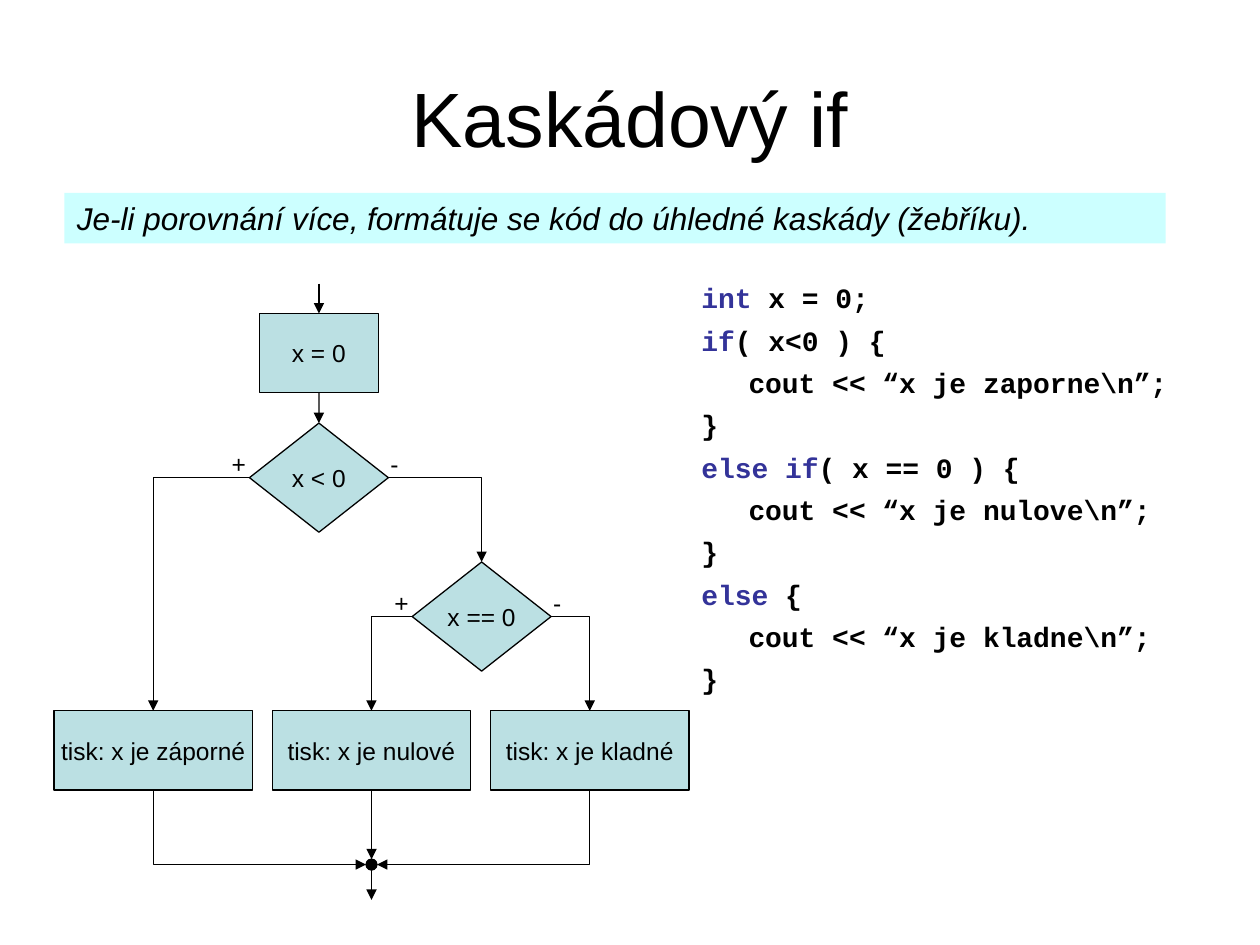
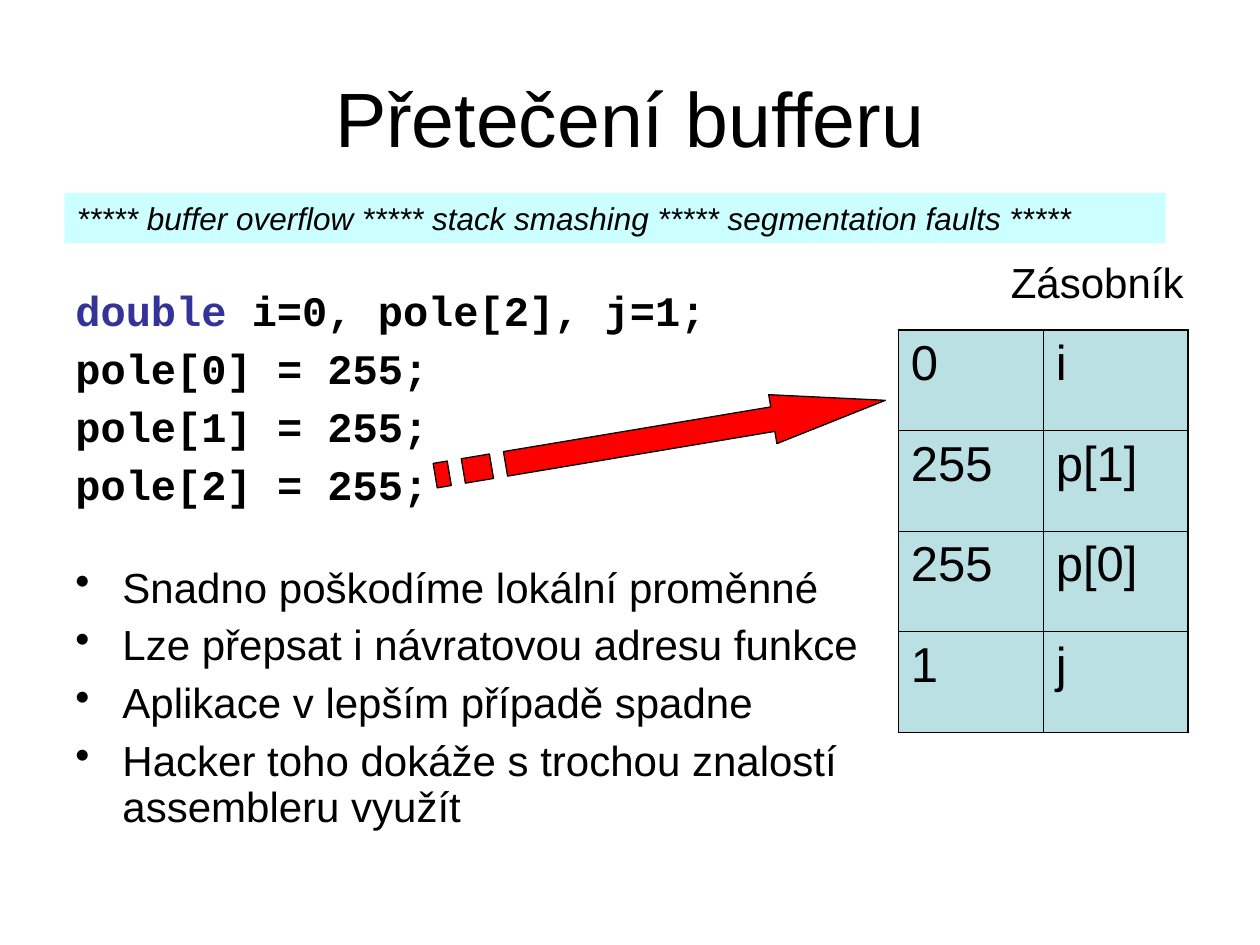
from lxml import etree
from pptx import Presentation
from pptx import util as u
from pptx.dml.color import RGBColor
from pptx.enum import shapes, text
from pptx.oxml import ns

colors = {"ink": "000000", "keyword": "333399", "band": "CCFFFF",
          "node": "BBE0E3", "arrow": "FF0000"}
SANS, MONO = "Arial", "Courier New"
LEFT, CENTER, RIGHT = text.PP_ALIGN.LEFT, text.PP_ALIGN.CENTER, text.PP_ALIGN.RIGHT
TOP, MIDDLE = text.MSO_ANCHOR.TOP, text.MSO_ANCHOR.MIDDLE
HANG = u.Cm(0.95)


def write(frame, lines, size, font=SANS, align=LEFT, anchor=TOP, wrap=True,
          italic=False, gap=0, spacing=None):
    frame.word_wrap = wrap
    frame.vertical_anchor = anchor
    for number, line in enumerate(lines):
        paragraph = frame.paragraphs[0] if number == 0 else frame.add_paragraph()
        paragraph.alignment = align
        paragraph.line_spacing = spacing
        paragraph.space_before = u.Pt(gap if number else 0)
        for words, color in line:
            run = paragraph.add_run()
            run.text = words
            run.font.name = font
            run.font.size = u.Pt(size)
            run.font.bold = font == MONO
            run.font.italic = italic
            run.font.color.rgb = RGBColor.from_string(colors[color])


def add_node(slide, kind, left, top, width, height, fill, line=True):
    shape = slide.shapes.add_shape(kind, u.Cm(left), u.Cm(top), u.Cm(width), u.Cm(height))
    shape.shadow.inherit = False
    shape.fill.solid()
    shape.fill.fore_color.rgb = RGBColor.from_string(colors[fill])
    if line:
        shape.line.color.rgb = RGBColor.from_string(colors["ink"])
        shape.line.width = u.Pt(0.75)
    else:
        shape.line.fill.background()
    return shape


presentation = Presentation()
presentation.slide_width = u.Cm(25.4)
presentation.slide_height = u.Cm(19.05)

slides = []
for title, motto in [
    ("Kaskádový if", "Je-li porovnání více, formátuje se kód do úhledné kaskády (žebříku)."),
    ("Přetečení bufferu",
     "***** buffer overflow ***** stack smashing ***** segmentation faults *****"),
]:
    slide = presentation.slides.add_slide(presentation.slide_layouts[6])
    heading = slide.shapes.add_textbox(u.Cm(1.27), u.Cm(0.76), u.Cm(22.86), u.Cm(3.18))
    write(heading.text_frame, [[(title, "ink")]], 44, align=CENTER, anchor=MIDDLE)
    band = add_node(slide, shapes.MSO_SHAPE.RECTANGLE, 1.3, 3.89, 22.2, 1.02, "band", line=False)
    write(band.text_frame, [[(motto, "ink")]], 18, italic=True)
    slides.append(slide)
cascade_slide, overflow_slide = slides

cascade_code = [
    [("int", "keyword"), (" x = 0;", "ink")],
    [("if", "keyword"), ("( x<0 ) {", "ink")],
    [("cout << “x je zaporne\\n”;", "ink")],
    [("}", "ink")],
    [("else if", "keyword"), ("( x == 0 ) {", "ink")],
    [("cout << “x je nulove\\n”;", "ink")],
    [("}", "ink")],
    [("else", "keyword"), (" {", "ink")],
    [("cout << “x je kladne\\n”;", "ink")],
    [("}", "ink")],
]
code_box = cascade_slide.shapes.add_textbox(u.Cm(13.89), u.Cm(5.54), u.Cm(10.24), u.Cm(11.48))
write(code_box.text_frame, cascade_code, 16, font=MONO, gap=5)
for paragraph in code_box.text_frame.paragraphs:
    if paragraph.text.startswith("cout"):
        paragraph._p.get_or_add_pPr().set("marL", str(HANG))

RECTANGLE, DIAMOND = shapes.MSO_SHAPE.RECTANGLE, shapes.MSO_SHAPE.DIAMOND
nodes = {}
for name, kind, left, top, width, height, label in [
    ("assign", RECTANGLE, 5.23, 6.32, 2.4, 1.6, "x = 0"),
    ("negative?", DIAMOND, 5.03, 8.53, 2.8, 2.2, "x < 0"),
    ("zero?", DIAMOND, 8.31, 11.33, 2.8, 2.2, "x == 0"),
    ("negative", RECTANGLE, 1.09, 14.33, 4, 1.6, "tisk: x je záporné"),
    ("zero", RECTANGLE, 5.49, 14.33, 4, 1.6, "tisk: x je nulové"),
    ("positive", RECTANGLE, 9.89, 14.33, 4, 1.6, "tisk: x je kladné"),
]:
    nodes[name] = add_node(cascade_slide, kind, left, top, width, height, "node")
    write(nodes[name].text_frame, [[(label, "ink")]], 14, align=CENTER, anchor=MIDDLE, wrap=False)
nodes["merge"] = add_node(cascade_slide, shapes.MSO_SHAPE.OVAL, 7.38, 17.32, 0.22, 0.22, "ink")

UP, WEST, DOWN, EAST = range(4)
for start, start_side, end, end_side, arrowhead in [
    (None, None, "assign", UP, "tailEnd"),
    ("assign", DOWN, "negative?", UP, "tailEnd"),
    ("negative?", WEST, "negative", UP, "tailEnd"),
    ("negative?", EAST, "zero?", UP, "tailEnd"),
    ("zero?", WEST, "zero", UP, "tailEnd"),
    ("zero?", EAST, "positive", UP, "tailEnd"),
    ("merge", WEST, "negative", DOWN, "headEnd"),
    ("merge", EAST, "positive", DOWN, "headEnd"),
    ("zero", DOWN, "merge", UP, "tailEnd"),
    ("merge", DOWN, None, None, "tailEnd"),
]:
    bent = start_side in (WEST, EAST)
    kind = shapes.MSO_CONNECTOR.ELBOW if bent else shapes.MSO_CONNECTOR.STRAIGHT
    connector = cascade_slide.shapes.add_connector(
        kind, u.Cm(6.43), u.Cm(5.72), u.Cm(7.49), u.Cm(18.14))
    if start:
        connector.begin_connect(nodes[start], start_side)
    if end:
        connector.end_connect(nodes[end], end_side)
    for tag, node, side in [("a:stCxn", start, start_side), ("a:endCxn", end, end_side)]:
        if node == "merge":
            site = next(connector._element.iter(ns.qn(tag)))
            site.set("idx", str(side * 2))
    properties = connector._element.spPr
    if bent:
        properties.find(ns.qn("a:prstGeom")).set("prst", "bentConnector2")
    connector.line.color.rgb = RGBColor.from_string(colors["ink"])
    connector.line.width = u.Pt(0.75)
    etree.SubElement(properties.find(ns.qn("a:ln")), ns.qn("a:" + arrowhead), type="triangle")
    etree.SubElement(properties, ns.qn("a:effectLst"))

for sign, left, top in [("+", 4.42, 8.92), ("-", 7.62, 8.92), ("+", 7.7, 11.73), ("-", 10.9, 11.73)]:
    branch = cascade_slide.shapes.add_textbox(u.Cm(left), u.Cm(top), u.Cm(0.75), u.Cm(0.86))
    write(branch.text_frame, [[(sign, "ink")]], 14, wrap=False)

overflow_code = [
    [("double", "keyword"), (" i=0, pole[2], j=1;", "ink")],
    *[[(f"pole[{index}] = 255;", "ink")] for index in range(3)],
]
code_box = overflow_slide.shapes.add_textbox(u.Cm(1.27), u.Cm(5.72), u.Cm(16.43), u.Cm(5))
write(code_box.text_frame, overflow_code, 24, font=MONO, gap=7.2, spacing=0.9)

risks = [
    "Snadno poškodíme lokální proměnné",
    "Lze přepsat i návratovou adresu funkce",
    "Aplikace v lepším případě spadne",
    "Hacker toho dokáže s trochou znalostí assembleru využít",
]
risk_box = overflow_slide.shapes.add_textbox(u.Cm(1.27), u.Cm(11.3), u.Cm(16.43), u.Cm(5.72))
write(risk_box.text_frame, [[(risk, "ink")] for risk in risks], 24, gap=7.2, spacing=0.9)
for paragraph in risk_box.text_frame.paragraphs:
    properties = paragraph._p.get_or_add_pPr()
    properties.set("marL", str(HANG))
    properties.set("indent", str(-HANG))
    etree.SubElement(properties, ns.qn("a:buChar"), char="•")

stack = [("0", "i"), ("255", "p[1]"), ("255", "p[0]"), ("1", "j")]
table = overflow_slide.shapes.add_table(
    4, 2, u.Cm(18.11), u.Cm(6.65), u.Cm(5.84), u.Cm(8.12)).table
for row, values in enumerate(stack):
    for column, value in enumerate(values):
        cell = table.cell(row, column)
        write(cell.text_frame, [[(value, "ink")]], 28)
        borders = cell._tc.get_or_add_tcPr()
        for side, outer in [("lnL", column == 0), ("lnR", column == 1),
                            ("lnT", row == 0), ("lnB", row == 3)]:
            width = u.Pt(1.08 if outer else 0.45)
            border = etree.SubElement(borders, ns.qn("a:" + side), w=str(width))
            paint = etree.SubElement(border, ns.qn("a:solidFill"))
            etree.SubElement(paint, ns.qn("a:srgbClr"), val=colors["ink"])
        cell.fill.solid()
        cell.fill.fore_color.rgb = RGBColor.from_string(colors["node"])

caption = overflow_slide.shapes.add_textbox(u.Cm(18.11), u.Cm(5.05), u.Cm(6), u.Cm(1.27))
write(caption.text_frame, [[("Zásobník", "ink")]], 24, align=RIGHT)

arrow_left, arrow_top, arrow_width, arrow_height = 8.71, 8.33, 9.2, 1
contours = [
    [(0, 1), (1, 1), (1, 3), (0, 3)],
    [(2, 1), (4, 1), (4, 3), (2, 3)],
    [(5, 1), (24, 1), (24, 0), (32, 2), (24, 4), (24, 3), (5, 3)],
]
builder = None
for contour in contours:
    points = [(u.Cm(arrow_left + arrow_width * x / 32), u.Cm(arrow_top + arrow_height * y / 4))
              for x, y in contour]
    if builder is None:
        builder = overflow_slide.shapes.build_freeform(*points[0])
    else:
        builder.move_to(*points[0])
    builder.add_line_segments(points[1:], close=True)
arrow = builder.convert_to_shape()
arrow.rotation = 350.5
arrow.shadow.inherit = False
arrow.fill.solid()
arrow.fill.fore_color.rgb = RGBColor.from_string(colors["arrow"])
arrow.line.color.rgb = RGBColor.from_string(colors["ink"])
arrow.line.width = u.Pt(0.75)

presentation.save("out.pptx")
